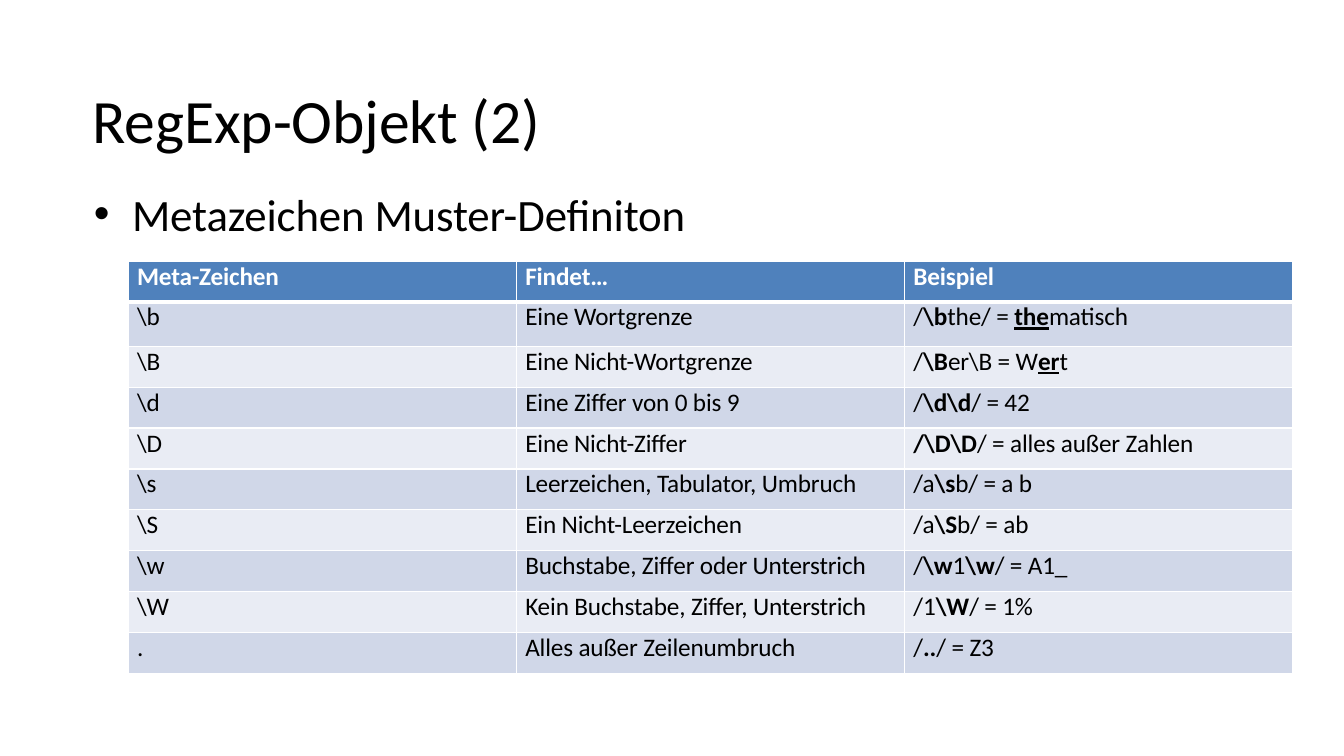
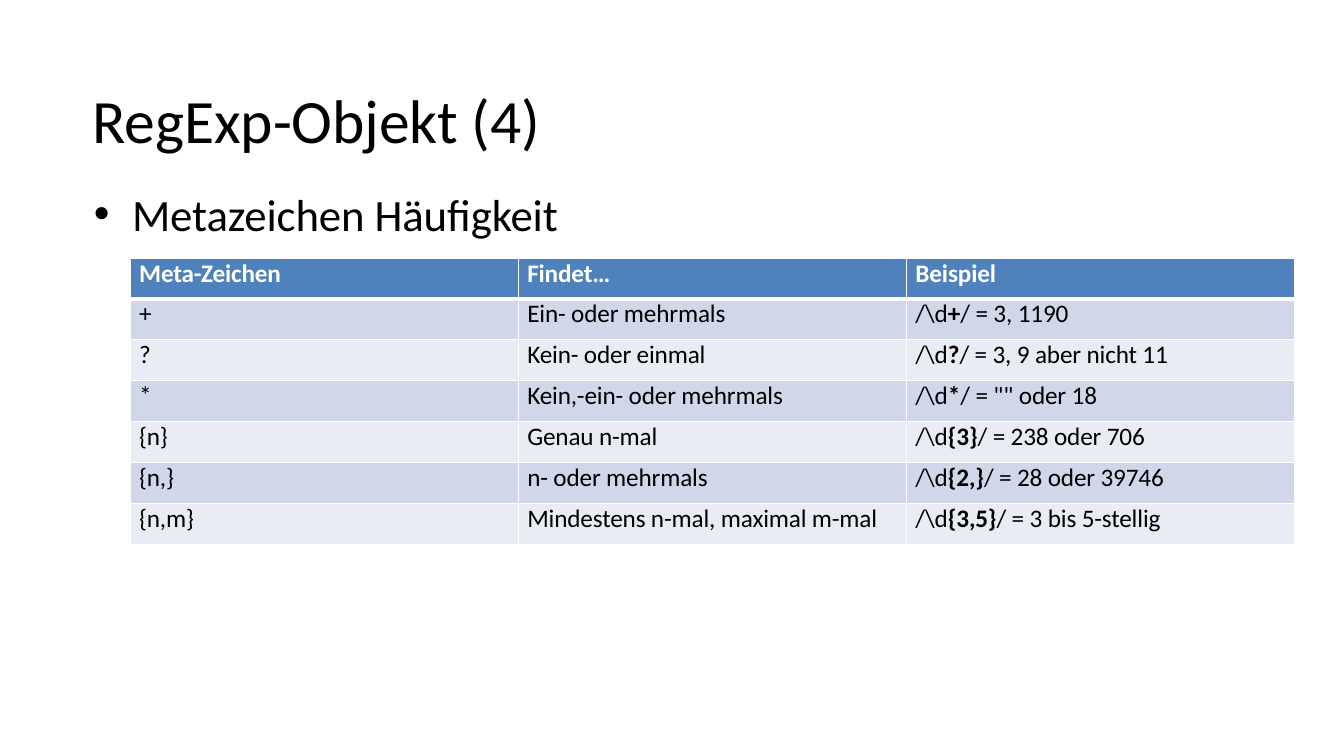
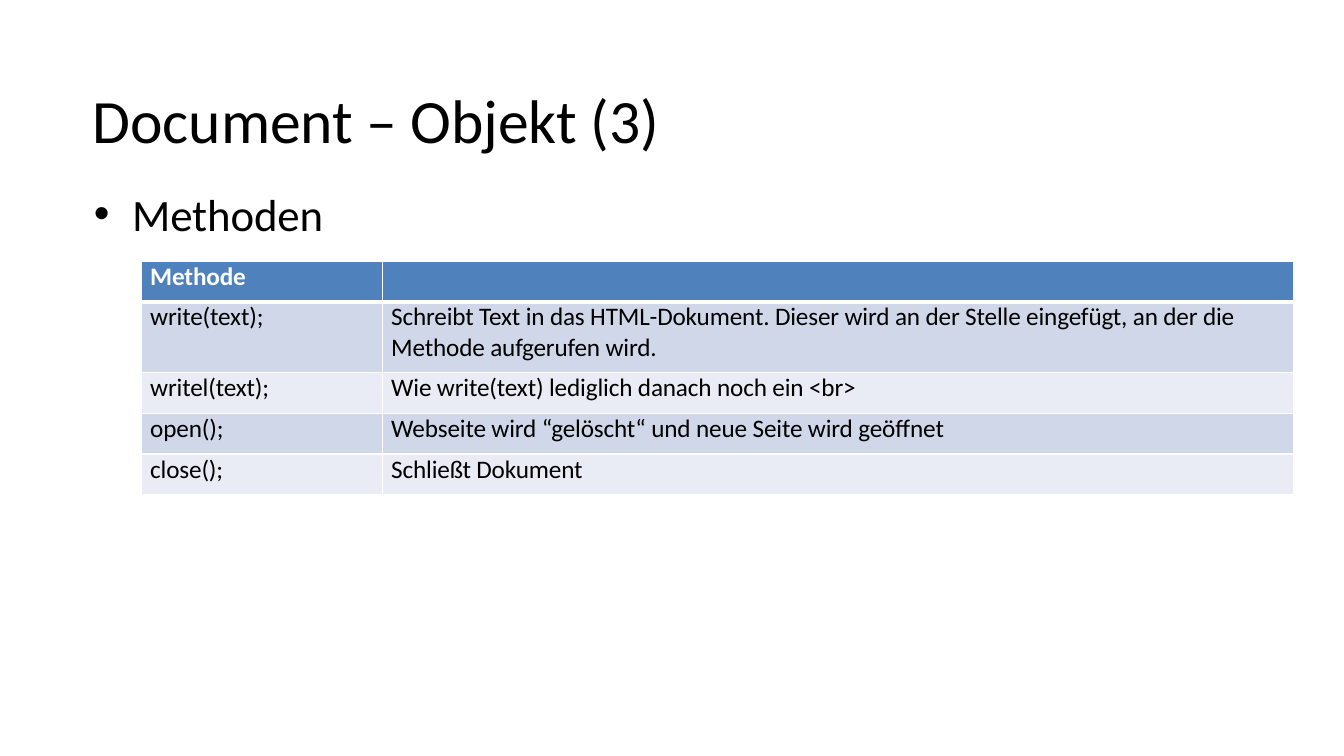
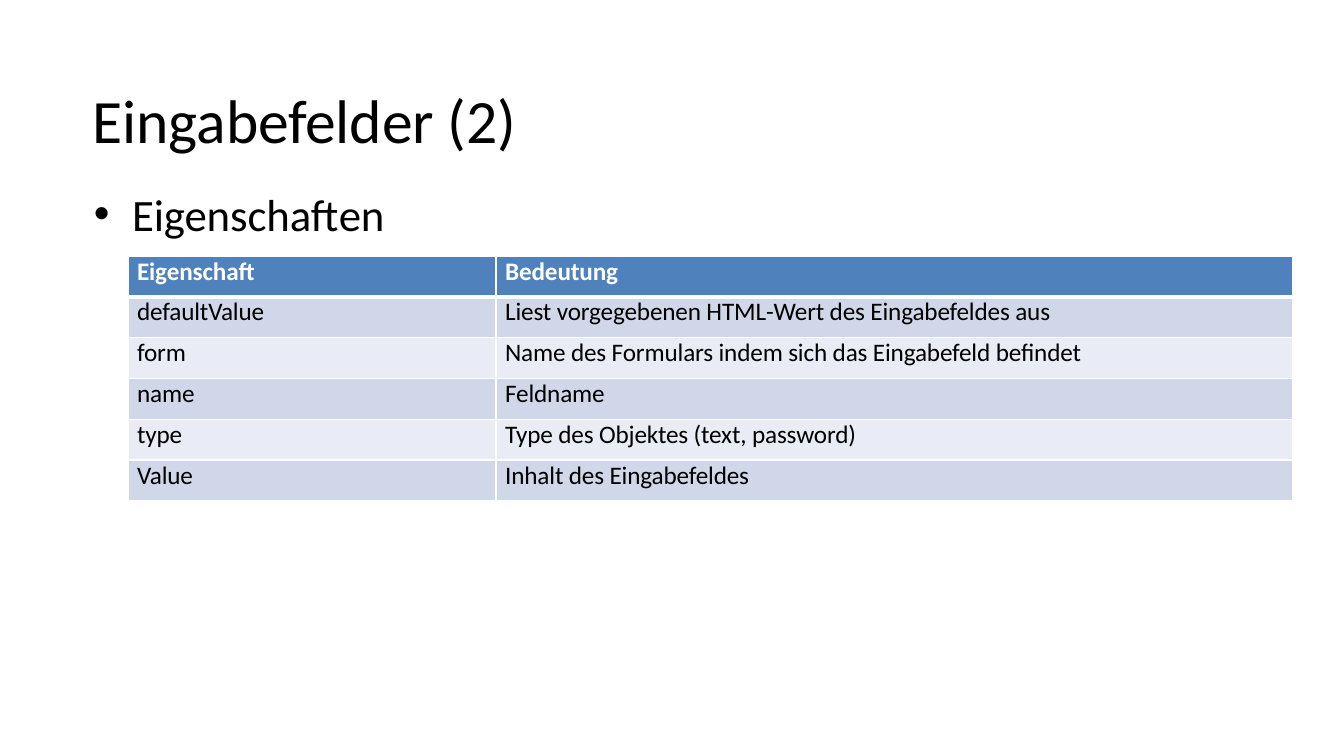
from pptx import Presentation
from pptx.dml.color import RGBColor
from pptx.enum.text import MSO_ANCHOR, MSO_AUTO_SIZE, PP_ALIGN
from pptx.oxml.ns import qn
from pptx.util import Inches, Pt
from lxml import etree

MIDDLE, TOP = MSO_ANCHOR.MIDDLE, MSO_ANCHOR.TOP
NO_AUTOFIT = MSO_AUTO_SIZE.NONE
LEFT = PP_ALIGN.LEFT

# Shared style
FONT = "Calibri"
BLACK, WHITE = "000000", "FFFFFF"
HEADER_FILL = "4F81BC"
BAND_FILLS = ("D0D7E8", "E9ECF4")
TITLE_SIZE, BULLET_SIZE, CELL_SIZE = 44, 32, 18
LETTER_SPACING = -10  # hundredths of a point
THIN, THICK = 1, 3
TITLE_BOX = (0.92, 0.5, 11.5, 1.35)
BULLET_LEFT, BULLET_TOP, BULLET_HEIGHT = 0.92, 1.85, 0.57
CELL_INDENT = 0.09
TITLE_ONLY = 5


def rgb(color):
    return RGBColor.from_string(color)


def bold(text):
    return text, True, False


def match(text):
    """Bold and underlined: the part of a word that a pattern finds."""
    return text, True, True


def add_run(paragraph, text, size, color=BLACK, is_bold=False, underline=False):
    run = paragraph.add_run()
    run.text = text
    font = run.font
    font.name, font.size = FONT, Pt(size)
    font.bold, font.underline = is_bold, underline
    font.color.rgb = rgb(color)
    run._r.get_or_add_rPr().set("spc", str(LETTER_SPACING))


def prepare_frame(frame, anchor):
    frame.word_wrap = True
    frame.auto_size = NO_AUTOFIT
    frame.vertical_anchor = anchor
    frame.margin_left = frame.margin_right = 0
    frame.margin_top = frame.margin_bottom = 0
    paragraph = frame.paragraphs[0]
    paragraph.alignment = LEFT
    return paragraph


def add_title(slide, text, box):
    title = slide.shapes.title
    title.left, title.top, title.width, title.height = map(Inches, box)
    add_run(prepare_frame(title.text_frame, MIDDLE), text, TITLE_SIZE)


def add_bullet(slide, text, box):
    bullet = slide.shapes.add_textbox(*map(Inches, box))
    paragraph = prepare_frame(bullet.text_frame, TOP)
    properties = paragraph._p.get_or_add_pPr()
    properties.set("marL", str(Inches(0.39)))
    properties.set("indent", str(Inches(-0.38)))
    etree.SubElement(properties, qn("a:buFont")).set("typeface", "Arial")
    etree.SubElement(properties, qn("a:buChar")).set("char", "•")
    add_run(paragraph, text, BULLET_SIZE)


def add_borders(cell, top, bottom):
    properties = cell._tc.get_or_add_tcPr()
    for side, width in (("L", THIN), ("R", THIN), ("T", top), ("B", bottom)):
        line = etree.SubElement(properties, qn(f"a:ln{side}"), w=str(Pt(width)))
        fill = etree.SubElement(line, qn("a:solidFill"))
        etree.SubElement(fill, qn("a:srgbClr"), val=WHITE)


def fill_cell(cell, content, row):
    header = row == 0
    cell.margin_left = Inches(CELL_INDENT)
    cell.margin_right = cell.margin_top = cell.margin_bottom = 0
    cell.vertical_anchor = TOP
    add_borders(cell, THICK if row == 1 else THIN, THICK if header else THIN)
    cell.fill.solid()
    cell.fill.fore_color.rgb = rgb(HEADER_FILL if header else BAND_FILLS[(row - 1) % 2])

    paragraph = cell.text_frame.paragraphs[0]
    for part in [content] if isinstance(content, str) else content:
        text, is_bold, underline = (part, header, False) if isinstance(part, str) else part
        if text:
            add_run(paragraph, text, CELL_SIZE, WHITE if header else BLACK, is_bold, underline)


def add_reference_table(slide, rows, box, columns, tall_rows):
    """Rows outside tall_rows share the remaining height equally."""
    left, top, width, height = box
    table = slide.shapes.add_table(len(rows), len(columns), *map(Inches, box)).table
    table.horz_banding = False
    for column, column_width in zip(table.columns, columns):
        column.width = Inches(column_width)
    row_height = (height - sum(tall_rows.values())) / (len(rows) - len(tall_rows))
    for i, contents in enumerate(rows):
        table.rows[i].height = Inches(tall_rows.get(i, row_height))
        for j, content in enumerate(contents):
            fill_cell(table.cell(i, j), content, i)


def add_reference_slide(prs, title, bullet, bullet_width, rows, place, columns, tall_rows):
    slide = prs.slides.add_slide(prs.slide_layouts[TITLE_ONLY])
    add_title(slide, title, TITLE_BOX)
    add_bullet(slide, bullet, (BULLET_LEFT, BULLET_TOP, bullet_width, BULLET_HEIGHT))
    left, top, height = place
    add_reference_table(slide, rows, (left, top, sum(columns), height), columns, tall_rows)


# Contents
PATTERN_HEADER = ("Meta-Zeichen", "Findet…", "Beispiel")

CHARACTER_ROWS = [
    PATTERN_HEADER,
    ("\\b", "Eine Wortgrenze", ["/", bold("\\b"), "the/ = ", match("the"), "matisch"]),
    ("\\B", "Eine Nicht-Wortgrenze", ["/", bold("\\B"), "er\\B = W", match("er"), "t"]),
    ("\\d", "Eine Ziffer von 0 bis 9", ["/", bold("\\d\\d"), "/ = 42"]),
    ("\\D", "Eine Nicht-Ziffer", [bold("/\\D\\D"), "/ = alles außer Zahlen"]),
    ("\\s", "Leerzeichen, Tabulator, Umbruch", ["/a", bold("\\s"), "b/ = a b"]),
    ("\\S", "Ein Nicht-Leerzeichen", ["/a", bold("\\S"), "b/ = ab"]),
    ("\\w", "Buchstabe, Ziffer oder Unterstrich",
     ["/", bold("\\w"), "1", bold("\\w"), "/ = A1_"]),
    ("\\W", "Kein Buchstabe, Ziffer, Unterstrich", ["/1", bold("\\W"), "/ = 1%"]),
    (".", "Alles außer Zeilenumbruch", ["/", bold(".."), "/ = Z3"]),
]

FREQUENCY_ROWS = [
    PATTERN_HEADER,
    ("+", "Ein- oder mehrmals", ["/\\d", bold("+"), "/ = 3, 1190"]),
    ("?", "Kein- oder einmal", ["/\\d", bold("?"), "/ = 3, 9 aber nicht 11"]),
    ("*", "Kein,-ein- oder mehrmals", ["/\\d", bold("*"), '/ = "" oder 18']),
    ("{n}", "Genau n-mal", ["/\\d", bold("{3}"), "/ = 238 oder 706"]),
    ("{n,}", "n- oder mehrmals", ["/\\d", bold("{2,}"), "/ = 28 oder 39746"]),
    ("{n,m}", "Mindestens n-mal, maximal m-mal",
     ["/\\d", bold("{3,5}"), "/ = 3 bis 5-stellig"]),
]

METHOD_ROWS = [
    ("Methode", ""),
    ("write(text);", "Schreibt Text in das HTML-Dokument. Dieser wird an der Stelle "
                     "eingefügt, an der die Methode aufgerufen wird."),
    ("writel(text);", "Wie write(text) lediglich danach noch ein <br>"),
    ("open();", "Webseite wird “gelöscht“ und neue Seite wird geöffnet"),
    ("close();", "Schließt Dokument"),
]

PROPERTY_ROWS = [
    ("Eigenschaft", "Bedeutung"),
    ("defaultValue", "Liest vorgegebenen HTML-Wert des Eingabefeldes aus"),
    ("form", "Name des Formulars indem sich das Eingabefeld befindet"),
    ("name", "Feldname"),
    ("type", "Type des Objektes (text, password)"),
    ("Value", "Inhalt des Eingabefeldes"),
]

# Title, bullet, bullet width, rows, table (left, top, height), columns, tall rows
THIRDS = (3.85,) * 3
SLIDES = [
    ("RegExp-Objekt (2)", "Metazeichen Muster-Definiton", 5.94,
     CHARACTER_ROWS, (1.27, 2.59, 4.09), THIRDS, {1: 0.44}),
    ("RegExp-Objekt (4)", "Metazeichen Häufigkeit", 4.66,
     FREQUENCY_ROWS, (1.29, 2.56, 2.84), THIRDS, {}),
    ("Document – Objekt (3)", "Methoden", 2.31,
     METHOD_ROWS, (1.4, 2.59, 2.32), (2.39, 9.04), {1: 0.7}),
    ("Eingabefelder (2)", "Eigenschaften", 2.93,
     PROPERTY_ROWS, (1.27, 2.54, 2.43), (3.65, 7.9), {}),
]


def main():
    prs = Presentation()
    prs.slide_width, prs.slide_height = Inches(13.33), Inches(7.5)
    for content in SLIDES:
        add_reference_slide(prs, *content)
    prs.save("out.pptx")


if __name__ == "__main__":
    main()
